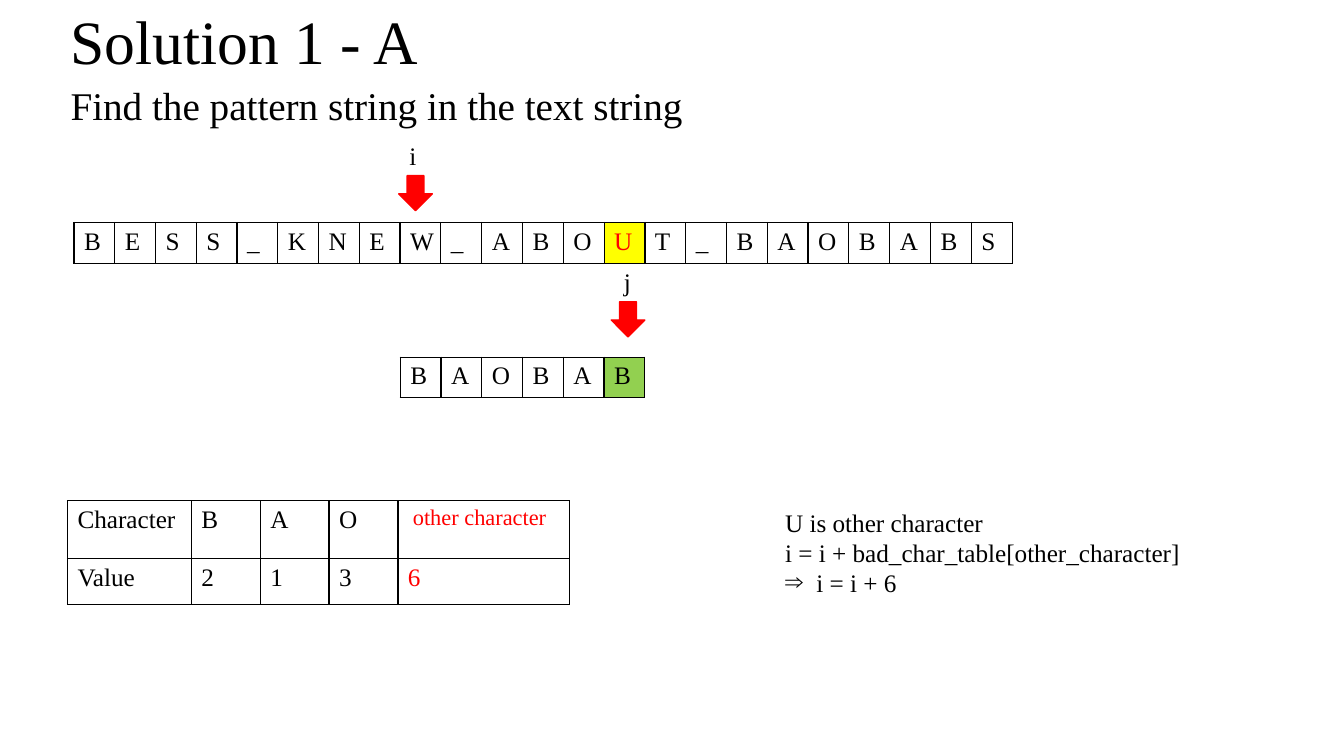
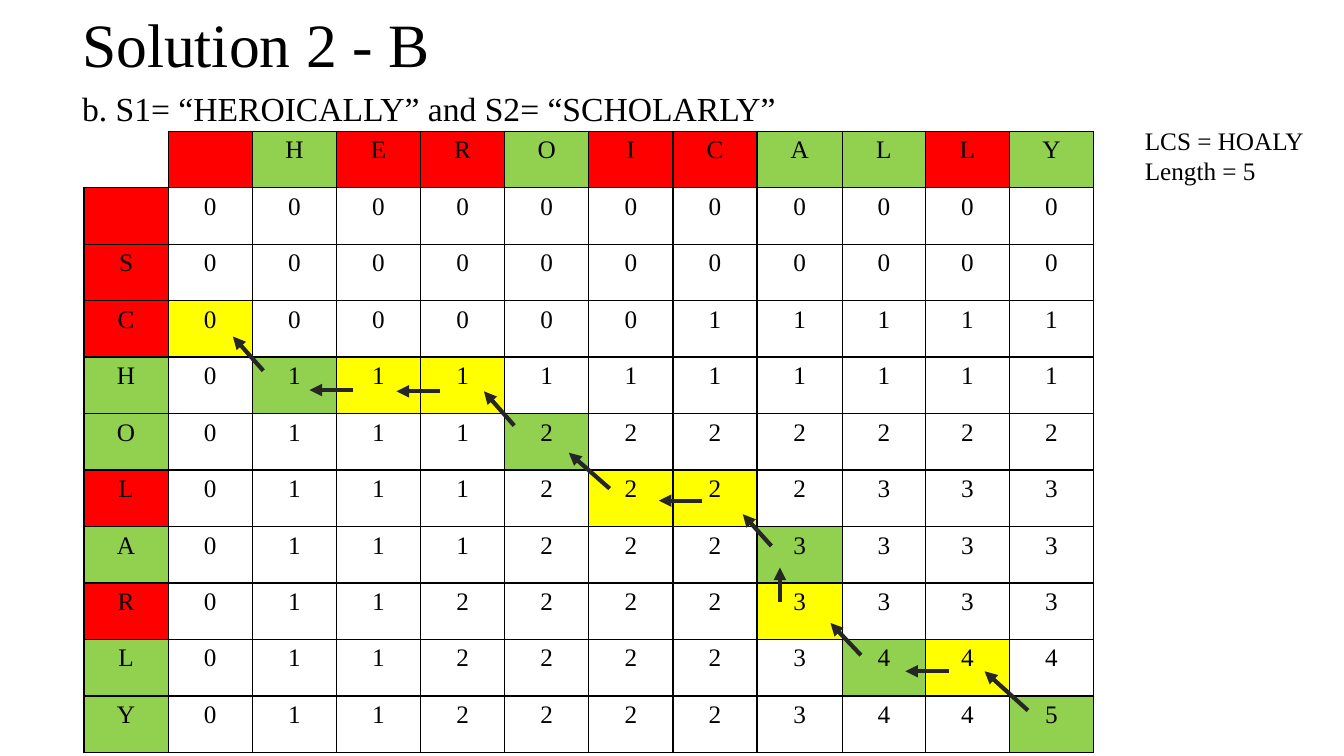
from lxml.etree import SubElement
from pptx import Presentation
from pptx.dml.color import RGBColor
from pptx.enum.shapes import MSO_CONNECTOR, MSO_SHAPE
from pptx.enum.text import MSO_ANCHOR, MSO_AUTO_SIZE, PP_ALIGN
from pptx.oxml.ns import qn
from pptx.util import Pt

# Shared style
FONT = "Times New Roman"
BLACK = RGBColor(0x00, 0x00, 0x00)
WHITE = RGBColor(0xFF, 0xFF, 0xFF)
RED = RGBColor(0xFF, 0x00, 0x00)
YELLOW = RGBColor(0xFF, 0xFF, 0x00)
GREEN = RGBColor(0x92, 0xD0, 0x50)
DARK = RGBColor(0x26, 0x26, 0x26)
TEXT_SIZE = 18

# Content: string search
TEXT_PARTS = ["BESS_KNEW_", "ABOUT_BAOB", "ABS"]
PATTERN = "BAOBAB"
SHIFT = 8          # text position under pointer i
MISMATCH = 13      # text position compared with the pattern end
SHIFT_TABLE = [
    ["Character", "B", "A", "O", [(" ", 14), ("other character", 16)]],
    ["Value", "2", "1", "3", "6"],
]
EXPLANATION = [
    "U is other character",
    "i = i + bad_char_table[other_character]",
    "i = i + 6",
]
POINTERS = [  # label, label left and top, arrow left and top
    ("i", 285.3, 96.8, 284.8, 125.5),
    ("j", 438.5, 186.5, 436.6, 215.6),
]

# Content: longest common subsequence
S1 = "HEROICALLY"
S2 = "SCHOLARLY"
RESULT = ["LCS = HOALY", "Length = 5"]
MATCHES = [(3, 1), (4, 4), (6, 7), (8, 8), (9, 10)]  # S2 index, S1 index
STEPS = [(2, 0), (3, 2), (3, 3), (5, 5), (5, 6), (7, 7), (8, 9)]
TRACE_ARROWS = [  # from x, y, to x, y
    (734.3, 507.5, 703.3, 479.5),
    (677.7, 479.5, 646.7, 479.5),
    (501.6, 357.6, 470.6, 357.6),
    (314, 279.5, 283.2, 279.5),
    (435.5, 349, 406.3, 323.4),
    (551, 390, 530.6, 367.3),
    (557.1, 430, 557.1, 405.4),
    (615, 468, 593.2, 445),
    (367.3, 304, 345.7, 279.5),
    (188.1, 264.8, 166.4, 240.4),
    (252.1, 278.6, 221.1, 278.6),
]

# Geometry
CELL = 29.14
TEXT_LEFT, TEXT_TOP = 52.8, 158.9
PATTERN_TOP = 255.1
SHIFT_COLUMNS = [88.5, 49.2, 49.2, 49.2, 122.4]
SHIFT_ROWS = [41.4, 32.8]
GRID_LEFT, GRID_TOP = 60, 93.7
GRID_COLUMNS = [60.1] * 8 + [60.9, 59.3, 60.1, 60.1]
GRID_ROW = 40.36


def place(shape, left, top, width, height):
    shape.left, shape.top, shape.width, shape.height = map(Pt, (left, top, width, height))


def write(paragraph, text, size=TEXT_SIZE, color=BLACK):
    run = paragraph.add_run()
    run.text = text
    run.font.name, run.font.size = FONT, Pt(size)
    run.font.color.rgb = color


def set_indent(paragraph, amount, bullet=None):
    properties = paragraph._p.get_or_add_pPr()
    properties.set("marL", str(Pt(amount)))
    properties.set("indent", str(Pt(-amount)))
    if bullet:
        SubElement(properties, qn("a:buFont"), typeface=FONT)
        SubElement(properties, qn("a:buChar"), char=bullet)
    else:
        SubElement(properties, qn("a:buNone"))


def fill_placeholder(shape, box, text, size, anchor):
    place(shape, *box)
    frame = shape.text_frame
    frame.auto_size = MSO_AUTO_SIZE.NONE
    frame.vertical_anchor = anchor
    paragraph = frame.paragraphs[0]
    set_indent(paragraph, 0)
    paragraph.alignment = PP_ALIGN.LEFT
    paragraph.line_spacing = 0.9
    paragraph.space_before = Pt(0)
    write(paragraph, text, size)


def add_page(presentation, title, title_at, subtitle, size, box, anchor):
    slide = presentation.slides.add_slide(presentation.slide_layouts[1])
    fill_placeholder(slide.shapes.title, (*title_at, 743, 64), title, 44, MSO_ANCHOR.MIDDLE)
    fill_placeholder(slide.placeholders[1], box, subtitle, size, anchor)
    return slide


def add_text(slide, box, lines):
    shape = slide.shapes.add_textbox(*map(Pt, box))
    frame = shape.text_frame
    frame.word_wrap = True
    for index, line in enumerate(lines):
        paragraph = frame.paragraphs[0] if index == 0 else frame.add_paragraph()
        write(paragraph, line)
    return frame


def set_borders(cell, hidden=()):
    properties = cell._tc.get_or_add_tcPr()
    for side in "LRTB":
        line = SubElement(properties, qn(f"a:ln{side}"), w=str(Pt(1)))
        if side in hidden:
            SubElement(line, qn("a:noFill"))
        else:
            solid = SubElement(line, qn("a:solidFill"))
            SubElement(solid, qn("a:srgbClr"), val=str(BLACK))


def add_grid(slide, left, top, widths, heights, rows, fills=None, colors=None,
             alignment=None, open_corner=False):
    """Draw a bordered table; fills and colors map (row, column) to a colour."""
    fills, colors = fills or {}, colors or {}
    frame = slide.shapes.add_table(len(heights), len(widths), Pt(left), Pt(top),
                                   Pt(sum(widths)), Pt(sum(heights)))
    table = frame.table
    table.first_row = table.horz_banding = False
    for column, width in zip(table.columns, widths):
        column.width = Pt(width)
    for row, height in zip(table.rows, heights):
        row.height = Pt(height)
    for r, row in enumerate(rows):
        for c, content in enumerate(row):
            cell = table.cell(r, c)
            set_borders(cell, "LT" if open_corner and (r, c) == (0, 0) else "")
            cell.fill.solid()
            cell.fill.fore_color.rgb = fills.get((r, c), WHITE)
            if not content:
                continue
            paragraph = cell.text_frame.paragraphs[0]
            paragraph.alignment = alignment
            runs = [(content, TEXT_SIZE)] if isinstance(content, str) else content
            for text, size in runs:
                write(paragraph, text, size, colors.get((r, c), BLACK))


def add_strip(slide, start, top, letters, fills=None, colors=None):
    """Draw one row of letters, starting at a text position."""
    add_grid(slide, TEXT_LEFT + start * CELL, top, [CELL] * len(letters), [CELL],
             [letters], fills, colors)


def add_pointer(slide, label, label_left, label_top, left, top):
    add_text(slide, (label_left, label_top, 26.6, 29), [label])
    arrow = slide.shapes.add_shape(MSO_SHAPE.DOWN_ARROW, Pt(left), Pt(top), Pt(24), Pt(25))
    arrow.shadow.inherit = False
    arrow.fill.solid()
    arrow.fill.fore_color.rgb = arrow.line.color.rgb = RED
    arrow.line.width = Pt(1)


def add_trace_arrow(slide, ends):
    connector = slide.shapes.add_connector(MSO_CONNECTOR.STRAIGHT, *map(Pt, ends))
    connector.line.color.rgb = DARK
    connector.line.width = Pt(3)
    SubElement(connector.line._get_or_add_ln(), qn("a:tailEnd"), type="triangle")
    SubElement(connector._element.spPr, qn("a:effectLst"))


def lcs_lengths(first, second):
    lengths = [[0] * (len(first) + 1)]
    for letter in second:
        above, row = lengths[-1], [0]
        for column, other in enumerate(first):
            row.append(above[column] + 1 if letter == other
                       else max(above[column + 1], row[column]))
        lengths.append(row)
    return lengths


def build_search(presentation):
    slide = add_page(presentation, "Solution 1 - A", (43.2, 0),
                     "Find the pattern string in the text string", 28,
                     (43.2, 58.3, 828, 384), MSO_ANCHOR.TOP)

    # Shift table
    add_grid(slide, 48.2, 357.8, SHIFT_COLUMNS, SHIFT_ROWS, SHIFT_TABLE,
             colors={(0, 4): RED, (1, 4): RED})

    # Text and pattern strips, aligned on the same cells
    start = 0
    for part in TEXT_PARTS:
        mismatch = (0, MISMATCH - start)
        add_strip(slide, start, TEXT_TOP, part, {mismatch: YELLOW}, {mismatch: RED})
        start += len(part)
    add_strip(slide, SHIFT, PATTERN_TOP, PATTERN, {(0, len(PATTERN) - 1): GREEN})
    for pointer in POINTERS:
        add_pointer(slide, *pointer)

    # Explanation
    frame = add_text(slide, (553.7, 358.5, 327.6, 72), EXPLANATION)
    set_indent(frame.paragraphs[-1], 22.3, "⇒")


def build_subsequence(presentation):
    slide = add_page(presentation, "Solution 2 - B", (51.4, 2.2),
                     "b. S1= “HEROICALLY” and S2= “SCHOLARLY”", 24,
                     (51.4, 46.8, 743, 64), MSO_ANCHOR.MIDDLE)

    # Length grid: a header row and column, then the computed lengths
    lengths = lcs_lengths(S1, S2)
    rows = [["", "", *S1]]
    rows += [[letter, *map(str, row)] for letter, row in zip(["", *S2], lengths)]
    fills = {(0, c): RED for c in range(1, len(rows[0]))}
    fills |= {(r, 0): RED for r in range(1, len(rows))}
    fills |= {(r + 1, c + 1): YELLOW for r, c in STEPS}
    for r, c in MATCHES:
        for position in ((0, c + 1), (r + 1, 0), (r + 1, c + 1)):
            fills[position] = GREEN
    add_grid(slide, GRID_LEFT, GRID_TOP, GRID_COLUMNS, [GRID_ROW] * len(rows), rows,
             fills, alignment=PP_ALIGN.CENTER, open_corner=True)

    # Trace back and result
    for ends in TRACE_ARROWS:
        add_trace_arrow(slide, ends)
    add_text(slide, (810.7, 85.7, 149, 51), RESULT)


def main():
    presentation = Presentation()
    presentation.slide_width, presentation.slide_height = Pt(960), Pt(540)
    build_search(presentation)
    build_subsequence(presentation)
    presentation.save("out.pptx")


if __name__ == "__main__":
    main()
